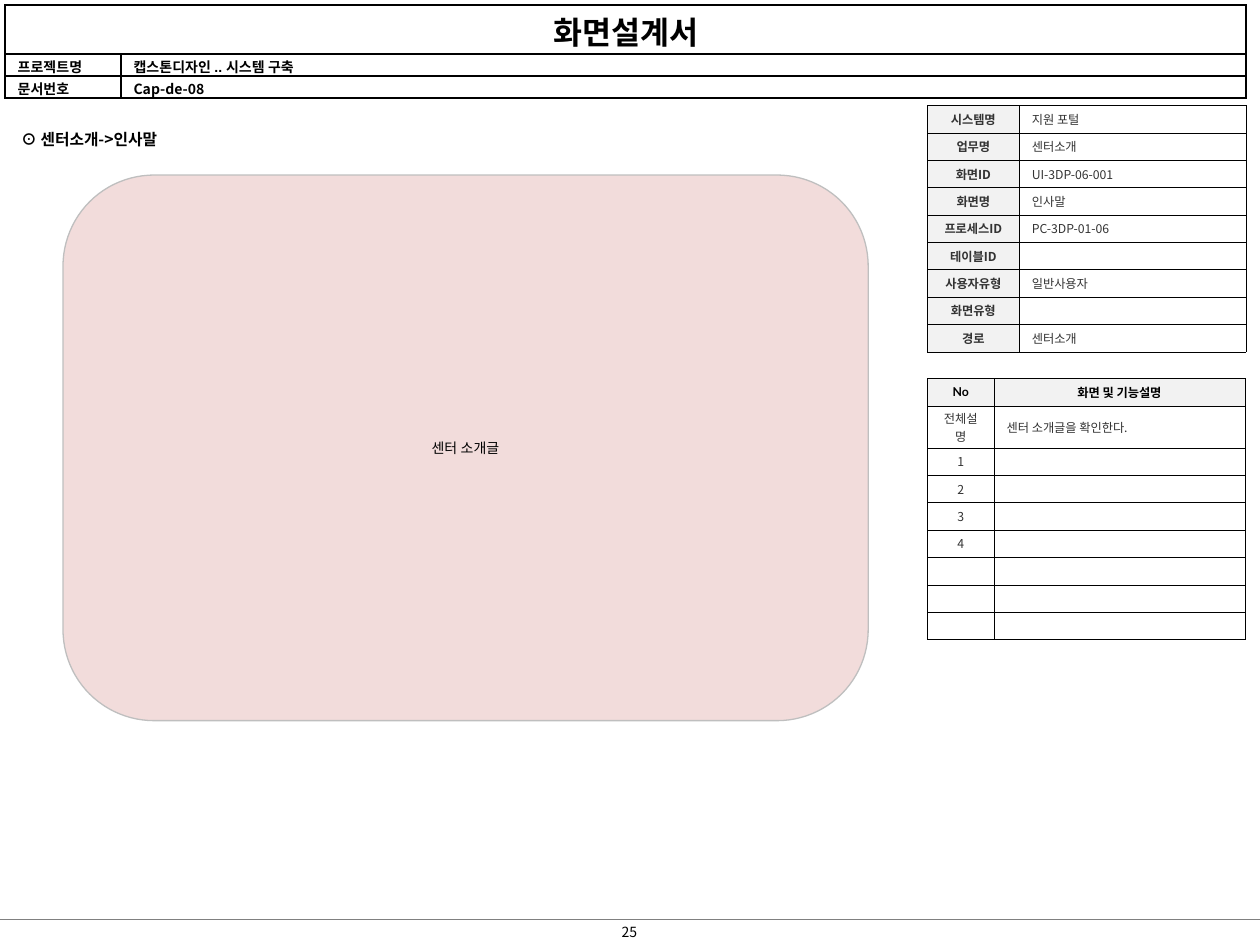
from lxml import etree
from pptx import Presentation
from pptx.dml.color import RGBColor
from pptx.enum.shapes import MSO_CONNECTOR, MSO_SHAPE
from pptx.enum.text import MSO_ANCHOR, PP_ALIGN
from pptx.oxml.ns import qn
from pptx.util import Inches, Pt

BLACK = RGBColor(0x00, 0x00, 0x00)
CHARCOAL = RGBColor(0x33, 0x33, 0x33)
GRAY = RGBColor(0x80, 0x80, 0x80)
SILVER = RGBColor(0xBF, 0xBF, 0xBF)
PALE = RGBColor(0xF2, 0xF2, 0xF2)
PINK = RGBColor(0xF2, 0xDC, 0xDB)
WHITE = RGBColor(0xFF, 0xFF, 0xFF)

LEFT, CENTER = PP_ALIGN.LEFT, PP_ALIGN.CENTER
TOP, MIDDLE = MSO_ANCHOR.TOP, MSO_ANCHOR.MIDDLE
STRAIGHT = MSO_CONNECTOR.STRAIGHT
PANEL = MSO_SHAPE.FLOWCHART_ALTERNATE_PROCESS

NOTO, ARIAL, LATO = "Noto Sans CJK KR", "Arial", "Lato"
WIDTH, HEIGHT = Inches(10), Inches(7.5)
SIDE_LEFT = 73.6
ROW = 2.9

SCREEN_INFO = [
    ("시스템명", "지원 포털"),
    ("업무명", "센터소개"),
    ("화면ID", "UI-3DP-06-001"),
    ("화면명", "인사말"),
    ("프로세스ID", "PC-3DP-01-06"),
    ("테이블ID", ""),
    ("사용자유형", "일반사용자"),
    ("화면유형", ""),
    ("경로", "센터소개"),
]
FUNCTIONS = [("전체설명", "센터 소개글을 확인한다.")]
FUNCTIONS += [(number, "") for number in ("1", "2", "3", "4", "", "", "")]


def across(percent):
    return round(WIDTH * percent / 100)


def down(percent):
    return round(HEIGHT * percent / 100)


def area(left, top, width, height):
    return across(left), down(top), across(width), down(height)


def write(frame, text, size, font=NOTO, color=BLACK, bold=False, align=LEFT):
    para = frame.paragraphs[0]
    para.alignment = align
    if not text:
        etree.SubElement(para._p, qn("a:endParaRPr"), sz=str(size * 100))
        return
    span = para.add_run()
    span.text = text
    span.font.size = Pt(size)
    span.font.bold = bold
    span.font.name = font
    span.font.color.rgb = color
    etree.SubElement(span._r.get_or_add_rPr(), qn("a:ea"), typeface=NOTO)


def add_text(page, place, text, size, **style):
    box = page.shapes.add_textbox(*place)
    box.text_frame.word_wrap = True
    write(box.text_frame, text, size, **style)


def add_rule(page, top):
    rule = page.shapes.add_connector(STRAIGHT, 0, down(top), WIDTH, down(top))
    rule.line.color.rgb = GRAY
    rule.line.width = Pt(0.75)
    etree.SubElement(rule._element.spPr, qn("a:effectLst"))


def add_panel(page, place, text):
    panel = page.shapes.add_shape(PANEL, *place)
    panel.shadow.inherit = False
    panel.fill.solid()
    panel.fill.fore_color.rgb = PINK
    panel.line.color.rgb = SILVER
    panel.line.width = Pt(0.75)
    panel.text_frame.vertical_anchor = MIDDLE
    write(panel.text_frame, text, 8, font=ARIAL, align=CENTER)


def add_grid(page, left, top, columns, rows):
    place = area(left, top, sum(columns), sum(rows))
    table = page.shapes.add_table(len(rows), len(columns), *place).table
    table.first_row = table.horz_banding = False
    for column, width in zip(table.columns, columns):
        column.width = across(width)
    for row, height in zip(table.rows, rows):
        row.height = down(height)
    return table


def border(cell, points):
    properties = cell._tc.get_or_add_tcPr()
    for side in ("a:lnL", "a:lnR", "a:lnT", "a:lnB"):
        line = etree.SubElement(properties, qn(side), w=str(Pt(points)))
        fill = etree.SubElement(line, qn("a:solidFill"))
        etree.SubElement(fill, qn("a:srgbClr"), val=str(BLACK))


def fill_cell(cell, text, size, line, margins, anchor=MIDDLE, fill=None, **style):
    border(cell, line)
    if fill is None:
        cell.fill.background()
    else:
        cell.fill.solid()
        cell.fill.fore_color.rgb = fill
    cell.margin_top, cell.margin_bottom = map(Inches, margins)
    cell.vertical_anchor = anchor
    write(cell.text_frame, text, size, **style)


def fill_title(cell, text, size, **style):
    fill_cell(cell, text, size, 1, (0.02, 0), anchor=TOP, fill=WHITE, bold=True, **style)


def fill_side(cell, text, **style):
    fill_cell(cell, text, 7, 0.25, (0.03, 0.03), **style)


def add_title_table(page):
    table = add_grid(page, 0.4, 0.53, (9.2, 89.3), (5.2, 2.33, 2.33))
    table.cell(0, 0).merge(table.cell(0, 1))
    fill_title(table.cell(0, 0), "화면설계서", 18, align=CENTER)
    border(table.cell(0, 1), 1)
    details = [
        ("프로젝트명", "캡스톤디자인 .. 시스템 구축", ARIAL),
        ("문서번호", "Cap-de-08", NOTO),
    ]
    for index, (label, value, font) in enumerate(details, 1):
        fill_title(table.cell(index, 0), label, 8, font=ARIAL)
        fill_title(table.cell(index, 1), value, 8, font=font)


def add_function_table(page):
    rows = (ROW, 4.45) + (ROW,) * (len(FUNCTIONS) - 1)
    table = add_grid(page, SIDE_LEFT, 40.05, (5.3, 19.9), rows)
    headings = [("No", LATO), ("화면 및 기능설명", ARIAL)]
    for index, (heading, font) in enumerate(headings):
        fill_side(table.cell(0, index), heading, fill=PALE, font=font, bold=True, align=CENTER)
    for index, (number, description) in enumerate(FUNCTIONS, 1):
        fill_side(table.cell(index, 0), number, color=CHARCOAL, align=CENTER)
        fill_side(table.cell(index, 1), description, color=CHARCOAL)


def add_info_table(page):
    table = add_grid(page, SIDE_LEFT, 11.15, (7.3, 18), (ROW,) * len(SCREEN_INFO))
    for index, (label, value) in enumerate(SCREEN_INFO):
        fill_side(table.cell(index, 0), label, fill=PALE, color=CHARCOAL, bold=True, align=CENTER)
        fill_side(table.cell(index, 1), value, color=CHARCOAL)


def main():
    deck = Presentation()
    deck.slide_width, deck.slide_height = WIDTH, HEIGHT
    page = deck.slides.add_slide(deck.slide_layouts[6])
    add_rule(page, 97.33)
    add_text(page, area(47.2, 97.07, 5.5, 3.2), "25", 8, align=CENTER)
    add_title_table(page)
    add_text(page, area(0.7, 13.07, 13, 3.33), "⊙ 센터소개->인사말", 9, bold=True)
    add_function_table(page)
    add_info_table(page)
    add_panel(page, area(5, 18.53, 63.9, 57.73), "센터 소개글")
    deck.save("out.pptx")


if __name__ == "__main__":
    main()
